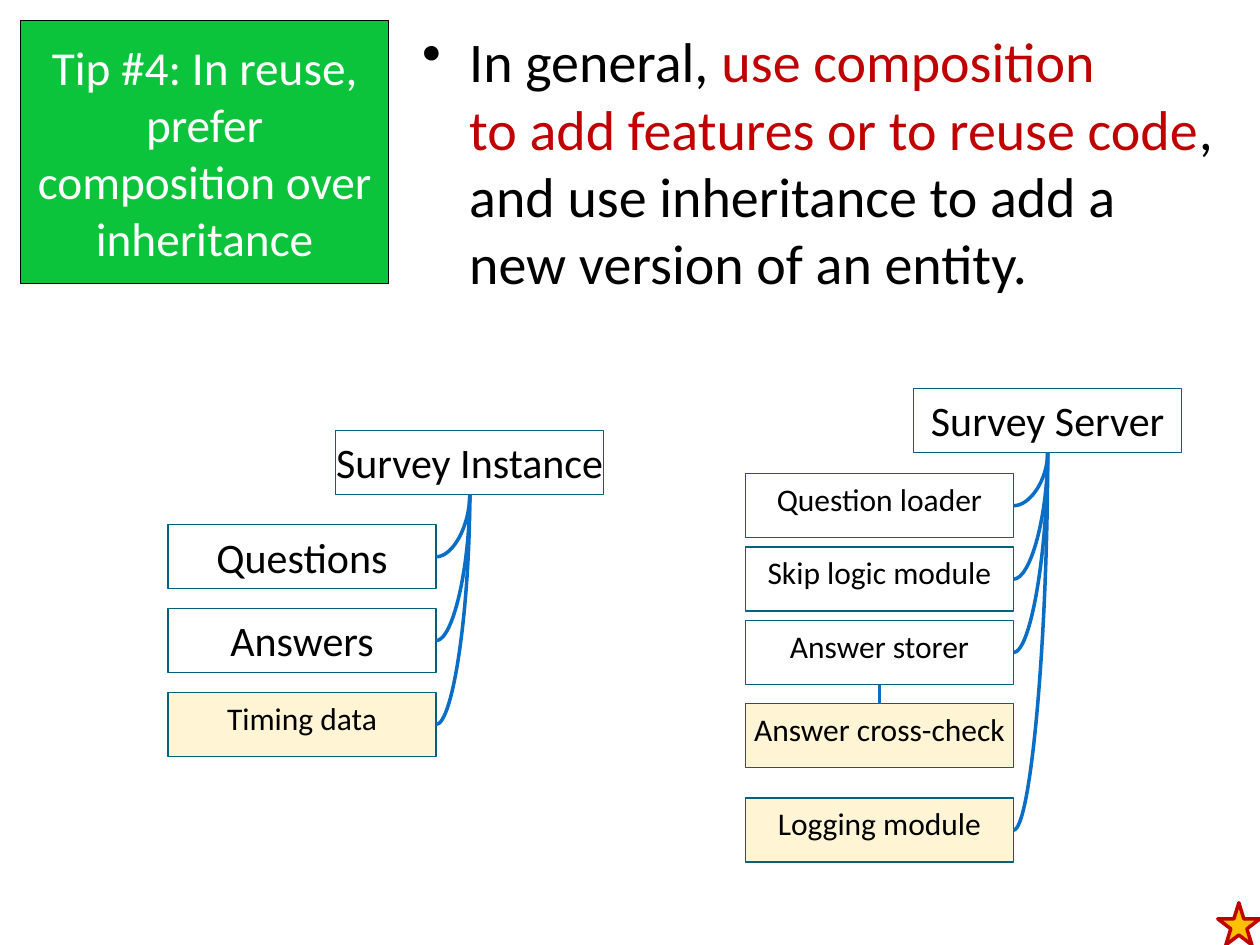
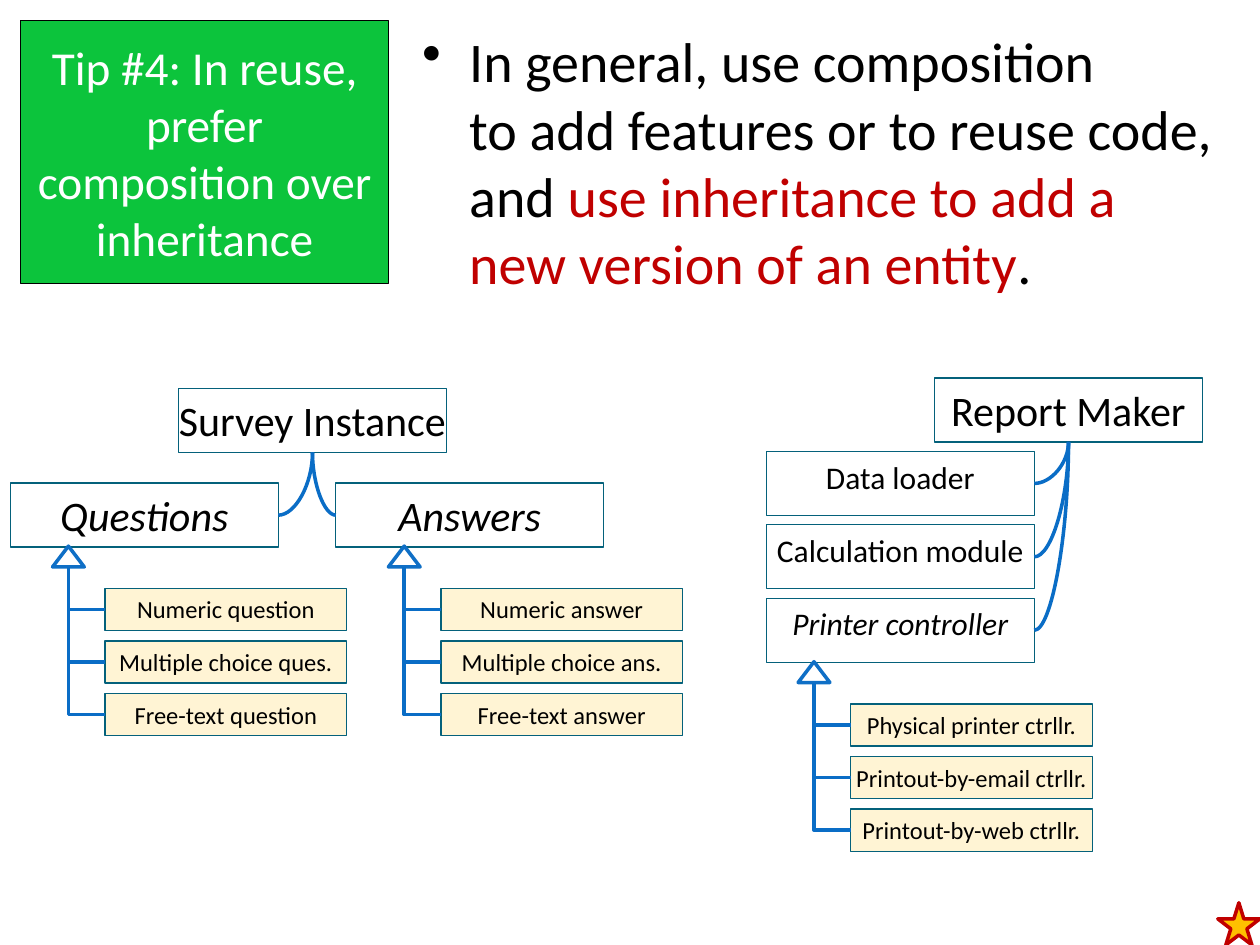
from lxml.etree import SubElement
from pptx import Presentation
from pptx.dml.color import RGBColor
from pptx.enum.shapes import MSO_CONNECTOR as LINK, MSO_SHAPE as SHAPE
from pptx.enum.text import MSO_ANCHOR as ANCHOR, PP_ALIGN as ALIGN
from pptx.oxml.ns import qn
from pptx.util import Cm, Pt

COLORS = {
    "tip": "0CC43C", "white": "FFFFFF", "black": "000000", "accent": "C00000",
    "gold": "FFC000", "edge": "04617B", "link": "0A6DC6", "arrow": "0F6FC6",
}
FONT = "Calibri"
BOX_W, BOX_H = 5.4, 1.29
STEP = 1.48
SUB_W, SUB_H, SUB_STEP = 4.87, 0.85, 1.06
HEAD_W, HEAD_H = 0.64, 0.42


def rgb(name):
    return RGBColor.from_string(COLORS[name])


def assign(target, values):
    for name, value in values.items():
        setattr(target, name, value)


class Deck:
    def __init__(self):
        self.prs = Presentation()
        assign(self.prs, {"slide_width": Cm(25.4), "slide_height": Cm(19.05)})
        self.s = None

    def new_slide(self, statement):
        self.s = self.prs.slides.add_slide(self.prs.slide_layouts[6])
        self.title("Tip #4: In reuse, prefer composition over inheritance")
        self.bullet(statement)
        self.shape(SHAPE.STAR_5_POINT, 24.55, 18.2, 0.85, 0.85, "gold", "accent", 2)

    def shape(self, kind, x, y, w, h, fill, line, weight):
        sp = self.s.shapes.add_shape(kind, Cm(x), Cm(y), Cm(w), Cm(h))
        sp.shadow.inherit = False
        sp.fill.solid()
        sp.fill.fore_color.rgb = rgb(fill)
        sp.line.color.rgb = rgb(line)
        sp.line.width = Pt(weight)
        return sp

    def run(self, p, text, size, color="black", italic=False):
        r = p.add_run()
        r.text = text
        assign(r.font, {"name": FONT, "size": Pt(size), "italic": italic})
        r.font.color.rgb = rgb(color)

    def title(self, text):
        sp = self.shape(SHAPE.RECTANGLE, 0.42, 0.42, 7.41, 5.29, "tip", "black", 0.5)
        tf = sp.text_frame
        assign(tf, {"word_wrap": True, "vertical_anchor": ANCHOR.MIDDLE})
        p = tf.paragraphs[0]
        p.alignment = ALIGN.CENTER
        self.run(p, text, 27, "white")

    def bullet(self, statement):
        sp = self.s.shapes.add_textbox(Cm(8.26), Cm(0.42), Cm(16.51), Cm(18.2))
        tf = sp.text_frame
        tf.word_wrap = True
        p = tf.paragraphs[0]
        pPr = p._p.get_or_add_pPr()
        pPr.set("marL", str(Cm(0.95)))
        pPr.set("indent", str(-Cm(0.95)))
        color = SubElement(pPr, qn("a:buClr"))
        SubElement(color, qn("a:srgbClr"), val=COLORS["black"])
        SubElement(pPr, qn("a:buChar"), char="•")
        for text, shade in statement:
            for i, part in enumerate(text.split("\n")):
                if i:
                    p.add_line_break()
                self.run(p, part, 32, shade)

    def box(self, text, x, y, size=18, w=BOX_W, h=BOX_H, new=False, italic=False):
        fill = "gold" if new else "white"
        sp = self.shape(SHAPE.RECTANGLE, x, y, w, h, fill, "edge", 0.75)
        if new:
            clr = sp._element.spPr.find(qn("a:solidFill"))[0]
            SubElement(clr, qn("a:alpha"), val="17000")
        tf = sp.text_frame
        assign(tf, {"word_wrap": False, "vertical_anchor": ANCHOR.TOP})
        p = tf.paragraphs[0]
        p.alignment = ALIGN.CENTER
        self.run(p, text, size, italic=italic)

    def line(self, kind, x1, y1, x2, y2):
        c = self.s.shapes.add_connector(kind, Cm(x1), Cm(y1), Cm(x2), Cm(y2))
        c.line.color.rgb = rgb("link")
        c.line.width = Pt(2)
        SubElement(c._element.spPr, qn("a:effectLst"))
        return c

    def corner(self, kind, x1, y1, x2, y2):
        w, h = y2 - y1, abs(x2 - x1)
        left, top = (x1 + x2 - w) / 2, (y1 + y2 - h) / 2
        c = self.line(kind, left, top, left + w, top + h)
        c._element.spPr.prstGeom.set(
            "prst", "curvedConnector2" if kind == LINK.CURVE else "bentConnector2")
        xfrm = c._element.spPr.xfrm
        if x2 < x1:
            xfrm.set("rot", "5400000")
        else:
            xfrm.set("rot", "16200000")
            xfrm.set("flipH", "1")

    def whole(self, text, x, y, part_edges):
        self.box(text, x, y, 24)
        for edge_x, part_y in part_edges:
            self.corner(LINK.CURVE, x + BOX_W / 2, y + BOX_H, edge_x, part_y + BOX_H / 2)

    def subtypes(self, x, y, names):
        self.shape(SHAPE.ISOSCELES_TRIANGLE, x, y, HEAD_W, HEAD_H, "white", "arrow", 2)
        sub_x = x + 1.06
        for i, name in enumerate(names):
            sub_y = y + 0.85 + i * SUB_STEP
            self.box(name, sub_x, sub_y, 14, SUB_W, SUB_H, new=True)
            self.corner(LINK.ELBOW, x + HEAD_W / 2, y + HEAD_H, sub_x, sub_y + SUB_H / 2)


def composition_slide(deck):
    deck.new_slide([
        ("In general, ", "black"),
        ("use composition \nto add features or to reuse code", "accent"),
        (", and use inheritance to add a new version of an entity.", "black"),
    ])
    server_x, server_y = 15.03, 9.55
    modules = [server_y + i * STEP for i in range(3)]
    check_y, logging_y = 14.18, 16.09
    for name, y in zip(("Question loader", "Skip logic module", "Answer storer"), modules):
        deck.box(name, server_x, y)
    deck.box("Answer cross-check", server_x, check_y, new=True)
    deck.box("Logging module", server_x, logging_y, new=True)
    deck.whole("Survey Server", 18.42, 7.83,
               [(server_x + BOX_W, y) for y in modules + [logging_y]])
    middle = server_x + BOX_W / 2
    deck.line(LINK.STRAIGHT, middle, modules[-1] + BOX_H, middle, check_y)

    data_x = 3.39
    rows = [10.58 + i * 1.69 for i in range(3)]
    deck.box("Questions", data_x, rows[0], 24)
    deck.box("Answers", data_x, rows[1], 24)
    deck.box("Timing data", data_x, rows[2], new=True)
    deck.whole("Survey Instance", 6.77, 8.68, [(data_x + BOX_W, y) for y in rows])


def inheritance_slide(deck):
    deck.new_slide([
        ("In general, use composition \nto add features or to reuse code, and ", "black"),
        ("use inheritance to add a new version of an entity", "accent"),
        (".", "black"),
    ])
    questions_x, answers_x, entity_y = 0.21, 6.77, 9.74
    deck.box("Questions", questions_x, entity_y, 24, italic=True)
    deck.box("Answers", answers_x, entity_y, 24, italic=True)
    deck.whole("Survey Instance", 3.6, 7.83,
               [(questions_x + BOX_W, entity_y), (answers_x, entity_y)])

    report_x = 15.45
    parts = [9.1 + i * STEP for i in range(3)]
    deck.box("Data loader", report_x, parts[0])
    deck.box("Calculation module", report_x, parts[1])
    deck.box("Printer controller", report_x, parts[2], italic=True)
    deck.whole("Report Maker", 18.84, 7.62, [(report_x + BOX_W, y) for y in parts])

    deck.subtypes(1.06, 11.01,
                  ("Numeric question", "Multiple choice ques.", "Free-text question"))
    deck.subtypes(7.83, 11.01,
                  ("Numeric answer", "Multiple choice ans.", "Free-text answer"))
    deck.subtypes(16.09, 13.34,
                  ("Physical printer ctrllr.", "Printout-by-email ctrllr.",
                   "Printout-by-web ctrllr."))


def main():
    deck = Deck()
    composition_slide(deck)
    inheritance_slide(deck)
    deck.prs.save("out.pptx")


if __name__ == "__main__":
    main()
